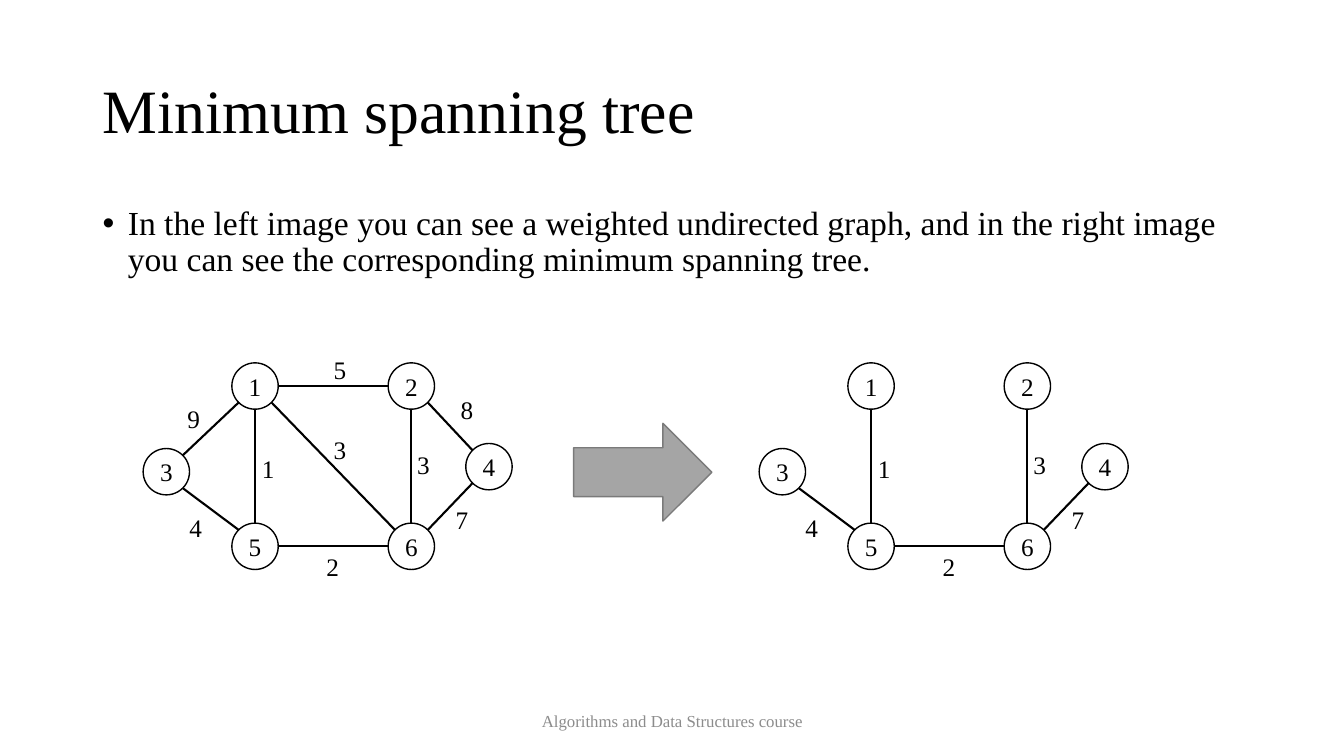
"""Build a slide showing a weighted graph beside its minimum spanning tree."""
import math

import lxml.etree
import pptx
import pptx.dml.color
import pptx.enum.shapes
import pptx.enum.text
import pptx.oxml.ns
import pptx.util

Inches = pptx.util.Inches
Pt = pptx.util.Pt
SHAPES = pptx.enum.shapes.MSO_SHAPE
ALIGN = pptx.enum.text.PP_ALIGN
ANCHOR = pptx.enum.text.MSO_ANCHOR
AUTO_SIZE = pptx.enum.text.MSO_AUTO_SIZE

TITLE = "Minimum spanning tree"
BODY = ("In the left image you can see a weighted undirected graph, and in the right "
        "image you can see the corresponding minimum spanning tree.")
FOOTER = "Algorithms and Data Structures course"
FONT = "Times New Roman"
BLACK = "000000"

NODES = {1: (2.53, 3.83), 2: (4.08, 3.83), 3: (1.65, 4.68),
         4: (4.85, 4.63), 5: (2.53, 5.42), 6: (4.08, 5.42)}
# Each edge: start node, end node, weight, label position.
EDGES = [
    (1, 2, 5, (3.21, 3.47)),
    (2, 4, 8, (4.47, 3.86)),
    (1, 6, 3, (3.21, 4.26)),
    (1, 3, 9, (1.76, 3.95)),
    (1, 5, 1, (2.5, 4.45)),
    (2, 6, 3, (4.04, 4.41)),
    (3, 5, 4, (1.78, 5.03)),
    (5, 6, 2, (3.14, 5.42)),
    (4, 6, 7, (4.42, 4.95)),
]
TREE = {(1, 5), (2, 6), (3, 5), (5, 6), (4, 6)}
TREE_SHIFT = 6.11
RADIUS = 0.23


def color(value):
    return pptx.dml.color.RGBColor.from_string(value)


def write(shape, text, size, align=ALIGN.LEFT, ink=BLACK):
    shape.text_frame.text = text
    para = shape.text_frame.paragraphs[0]
    para.alignment = align
    for span in para.runs:
        span.font.name = FONT
        span.font.size = Pt(size)
        span.font.color.rgb = color(ink)
    return para


def add_text(page, area, text, size, **style):
    box = page.shapes.add_textbox(*map(Inches, area))
    box.text_frame.word_wrap = True
    return box, write(box, text, size, **style)


def add_bullet(para):
    properties = para._p.get_or_add_pPr()
    properties.set("marL", str(Inches(0.25)))
    properties.set("indent", str(Inches(-0.25)))
    for tag, name, value in (("a:buFont", "typeface", "Arial"), ("a:buChar", "char", "•")):
        bullet = lxml.etree.SubElement(properties, pptx.oxml.ns.qn(tag))
        bullet.set(name, value)


def add_shape(page, kind, area, fill, line):
    shape = page.shapes.add_shape(kind, *map(Inches, area))
    shape.shadow.inherit = False
    shape.fill.solid()
    shape.fill.fore_color.rgb = color(fill)
    shape.line.color.rgb = color(line)
    shape.line.width = Pt(1)
    return shape


def add_edge(page, start, end):
    """Join two circles at the rim points nearest to a multiple of 45 degrees."""
    angle = math.atan2(end[1] - start[1], end[0] - start[0])
    angle = round(angle / (math.pi / 4)) * math.pi / 4
    dx, dy = RADIUS * math.cos(angle), RADIUS * math.sin(angle)
    ends = (start[0] + dx, start[1] + dy, end[0] - dx, end[1] - dy)
    edge = page.shapes.add_connector(pptx.enum.shapes.MSO_CONNECTOR.STRAIGHT,
                                     *map(Inches, ends))
    edge.line.color.rgb = color(BLACK)
    edge.line.width = Pt(1.5)
    lxml.etree.SubElement(edge._element.spPr, pptx.oxml.ns.qn("a:effectLst"))


def add_graph(page, edges, shift):
    centers = {node: (x + shift, y) for node, (x, y) in NODES.items()}
    for node, (x, y) in centers.items():
        area = (x - RADIUS, y - RADIUS, 2 * RADIUS, 2 * RADIUS)
        circle = add_shape(page, SHAPES.OVAL, area, "FFFFFF", BLACK)
        write(circle, str(node), 18, align=ALIGN.CENTER)
    for start, end, weight, (x, y) in edges:
        add_edge(page, centers[start], centers[end])
        label, _ = add_text(page, (x + shift, y, 0.33, 0.4), str(weight), 18)
        label.text_frame.word_wrap = False
        label.text_frame.auto_size = AUTO_SIZE.SHAPE_TO_FIT_TEXT


def main():
    deck = pptx.Presentation()
    deck.slide_width, deck.slide_height = Inches(13.33), Inches(7.5)
    page = deck.slides.add_slide(deck.slide_layouts[5])

    title = page.shapes.title
    title.left, title.top, title.width, title.height = map(Inches, (0.92, 0.4, 11.5, 1.45))
    title.text_frame.auto_size = AUTO_SIZE.NONE
    title.text_frame.vertical_anchor = ANCHOR.MIDDLE
    write(title, TITLE, 44).line_spacing = 0.9

    _, body = add_text(page, (0.92, 2, 11.5, 4.76), BODY, 24)
    add_bullet(body)
    body.line_spacing = 0.9

    footer, _ = add_text(page, (4.42, 6.95, 4.5, 0.4), FOOTER, 12,
                         align=ALIGN.CENTER, ink="8C8C8C")
    footer.text_frame.vertical_anchor = ANCHOR.MIDDLE

    add_graph(page, EDGES, 0)
    add_shape(page, SHAPES.RIGHT_ARROW, (5.69, 4.2, 1.37, 0.97), "A5A5A5", "7A7A7A")
    add_graph(page, [edge for edge in EDGES if edge[:2] in TREE], TREE_SHIFT)

    deck.save("out.pptx")


if __name__ == "__main__":
    main()
